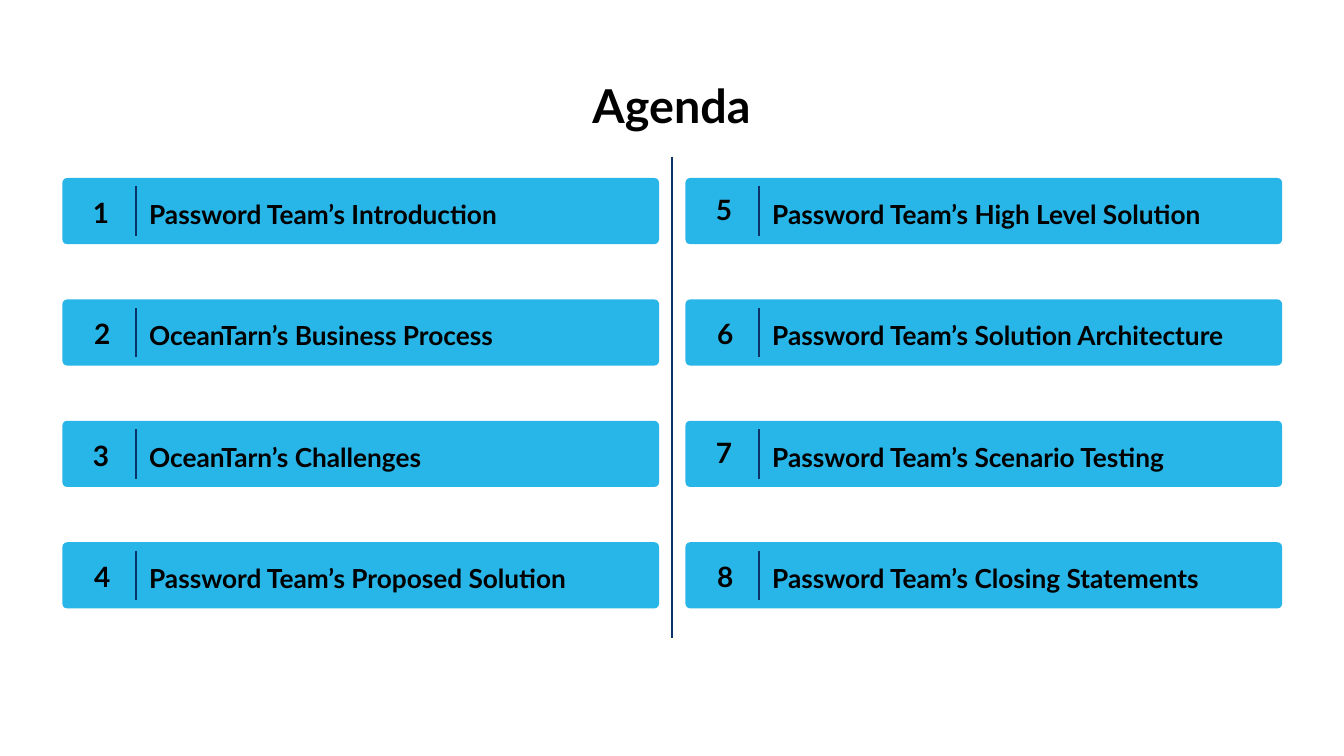
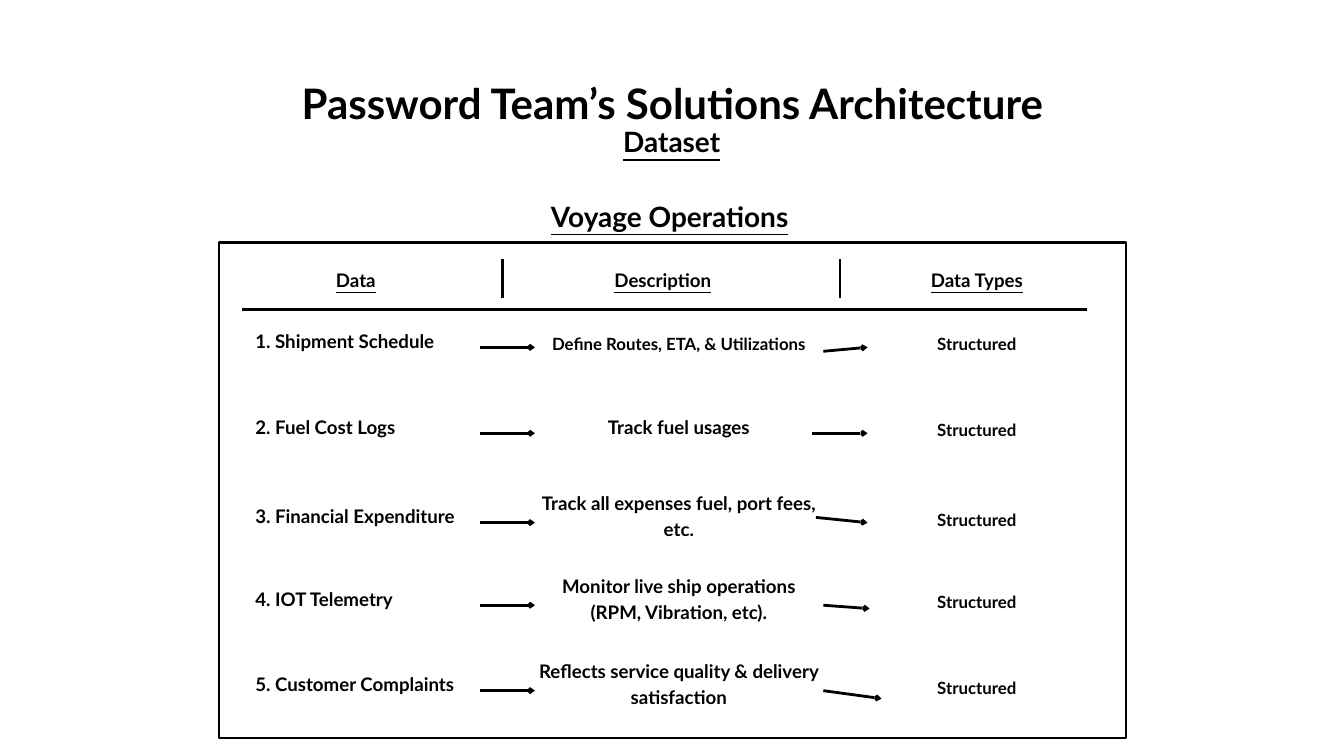
from dataclasses import dataclass

from lxml import etree
from pptx import Presentation
from pptx import util as u
from pptx.dml import color
from pptx.enum import shapes, text
from pptx.oxml import ns

COLORS = {"ink": "000000", "card": "28B5E7", "rule": "0B3367"}
FONT = "Lato"
SLIDE_W, SLIDE_H = 50.8, 28.58
BODY_LEADING, HEADING_LEADING = 1.4, 1.13


@dataclass(frozen=True)
class Box:
    """Left, top, width and height in centimetres."""
    x: float
    y: float
    w: float
    h: float

    def lengths(self) -> list[u.Cm]:
        return [u.Cm(v) for v in (self.x, self.y, self.w, self.h)]


@dataclass(frozen=True)
class AgendaItem:
    title: str
    number_dx: float = 0.64
    number_dy: float = 0.18


@dataclass(frozen=True)
class DatasetRow:
    top: float
    data: str
    description: str
    arrow_start: float
    arrow_end: float = 32.79
    start_dy: float = 0
    end_dy: float = 0
    description_size: int = 20


AGENDA_COLUMNS = [
    [AgendaItem("Password Team’s Introduction"),
     AgendaItem("OceanTarn’s Business Process", 0.69),
     AgendaItem("OceanTarn’s Challenges"),
     AgendaItem("Password Team’s Proposed Solution", 0.69)],
    [AgendaItem("Password Team’s High Level Solution", number_dy=0.08),
     AgendaItem("Password Team’s Solution Architecture", 0.69),
     AgendaItem("Password Team’s Scenario Testing", number_dy=0.08),
     AgendaItem("Password Team’s Closing Statements", 0.69)],
]
DATASET_ROWS = [
    DatasetRow(11.48, "Shipment Schedule", "Define Routes, ETA, & Utilizations",
               31.12, start_dy=0.15, description_size=18),
    DatasetRow(14.73, "Fuel Cost Logs", "Track fuel usages", 30.71),
    DatasetRow(18.11, "Financial Expenditure",
               "Track all expenses fuel, port fees, etc.", 30.84, start_dy=-0.2),
    DatasetRow(21.23, "IOT Telemetry",
               "Monitor live ship operations (RPM, Vibration, etc).",
               31.12, 32.87, end_dy=0.13),
    DatasetRow(24.46, "Customer Complaints",
               "Reflects service quality & delivery satisfaction",
               31.12, 33.32, end_dy=0.3),
]
COLUMN_HEADINGS = [("Data", 11.71, 3.48), ("Description", 22.45, 5.21),
                   ("Data Types", 34.32, 5.21)]


def rgb(name: str) -> color.RGBColor:
    return color.RGBColor.from_string(COLORS[name])


def add_text(s, content: str, box: Box, *, size: float, centered: bool = True,
             underline: bool = False, leading: float = BODY_LEADING,
             middle: bool = False) -> None:
    """Add bold text; middle text is inset, other text sits at the box's top."""
    tf = s.shapes.add_textbox(*box.lengths()).text_frame
    tf.word_wrap = True
    inset = u.Cm(0.15 if middle else 0)
    tf.margin_left = tf.margin_top = tf.margin_right = tf.margin_bottom = inset
    if middle:
        tf.vertical_anchor = text.MSO_ANCHOR.MIDDLE
    else:
        tf.auto_size = text.MSO_AUTO_SIZE.SHAPE_TO_FIT_TEXT
    p = tf.paragraphs[0]
    p.alignment = text.PP_ALIGN.CENTER if centered else text.PP_ALIGN.LEFT
    p.line_spacing = u.Pt(size * leading)
    r = p.add_run()
    r.text = content
    r.font.name, r.font.size, r.font.bold = FONT, u.Pt(size), True
    r.font.underline = underline
    r.font.color.rgb = rgb("ink")


def add_heading(s, content: str, box: Box, size: float = 30) -> None:
    add_text(s, content, box, size=size, underline=True, leading=HEADING_LEADING)


def add_line(s, x1: float, y1: float, x2: float, y2: float, *,
             ink: str = "ink", width: float = 3, arrow: bool = False) -> None:
    cxn = s.shapes.add_connector(shapes.MSO_CONNECTOR.STRAIGHT,
                                 *[u.Cm(v) for v in (x1, y1, x2, y2)])
    cxn.line.color.rgb = rgb(ink)
    cxn.line.width = u.Pt(width)
    sp_pr = cxn.element.spPr
    if arrow:
        etree.SubElement(sp_pr.find(ns.qn("a:ln")), ns.qn("a:tailEnd"),
                         type="arrow", w="sm", len="sm")
    etree.SubElement(sp_pr, ns.qn("a:effectLst"))


def add_card(s, item: AgendaItem, number: int, x: float, y: float) -> None:
    sp = s.shapes.add_shape(shapes.MSO_SHAPE.ROUNDED_RECTANGLE,
                            *Box(x, y, 22.55, 2.5).lengths())
    sp.adjustments[0] = 0.07
    sp.shadow.inherit = False
    sp.fill.solid()
    sp.fill.fore_color.rgb = rgb("card")
    sp.line.fill.background()
    add_text(s, item.title, Box(x + 3.28, y + 0.56, 18.54, 1.27),
             size=28.1, centered=False)
    add_line(s, x + 2.77, y + 0.32, x + 2.77, y + 2.18, ink="rule", width=2)
    add_text(s, str(number), Box(x + item.number_dx, y + item.number_dy, 1.63, 2.01),
             size=30, middle=True)


def add_cell(s, content: str, x: float, top: float, width: float,
             size: int = 20, centered: bool = True) -> None:
    """Add one dataset entry; the smaller size sits slightly lower in its row."""
    drop = 0.25 if size < 20 else 0
    add_text(s, content, Box(x, top + drop, width, 2.67 - drop),
             size=size, centered=centered, middle=True)


def add_dataset_row(s, number: int, row: DatasetRow) -> None:
    add_cell(s, f"{number}. {row.data}", 9.5, row.top, 8.64, centered=False)
    add_cell(s, row.description, 20.22, row.top, 10.88, row.description_size)
    add_cell(s, "Structured", 32.79, row.top, 8.26, 18)
    y = row.top + 1.65
    add_line(s, 18.14, y, 20.22, y, arrow=True)
    add_line(s, row.arrow_start, y + row.start_dy,
             row.arrow_end, y + row.end_dy, arrow=True)


def build_agenda(s) -> None:
    add_text(s, "Agenda", Box(10.41, 2.57, 29.95, 2.39), size=50)
    for col, items in enumerate(AGENDA_COLUMNS):
        for row, item in enumerate(items):
            add_card(s, item, col * len(items) + row + 1,
                     2.36 + col * 23.55, 6.73 + row * 4.59)
    add_line(s, SLIDE_W / 2, 5.92, SLIDE_W / 2, 24.13, ink="rule", width=1.5)


def build_dataset(s) -> None:
    frame = s.shapes.add_shape(shapes.MSO_SHAPE.RECTANGLE,
                               *Box(8.28, 9.17, 34.29, 18.72).lengths())
    frame.shadow.inherit = False
    frame.fill.background()
    frame.line.color.rgb = rgb("ink")
    frame.line.width = u.Pt(2.25)

    add_text(s, "Password Team’s Solutions Architecture",
             Box(5.92, 2.62, 38.99, 2.11), size=45)
    add_heading(s, "Dataset", Box(23.04, 4.8, 4.7, 1.19))
    add_heading(s, "Voyage Operations", Box(20.22, 7.62, 10.19, 1.19))

    for heading, x, width in COLUMN_HEADINGS:
        add_heading(s, heading, Box(x, 10.21, width, 0.81), 20)
    for x in (19, 31.75):
        add_line(s, x, 9.8, x, 11.28)
    add_line(s, 9.14, 11.71, 41.1, 11.71)
    for number, row in enumerate(DATASET_ROWS, 1):
        add_dataset_row(s, number, row)


def main() -> None:
    prs = Presentation()
    prs.slide_width, prs.slide_height = u.Cm(SLIDE_W), u.Cm(SLIDE_H)
    for build in (build_agenda, build_dataset):
        build(prs.slides.add_slide(prs.slide_layouts[6]))
    prs.save("out.pptx")


if __name__ == "__main__":
    main()
